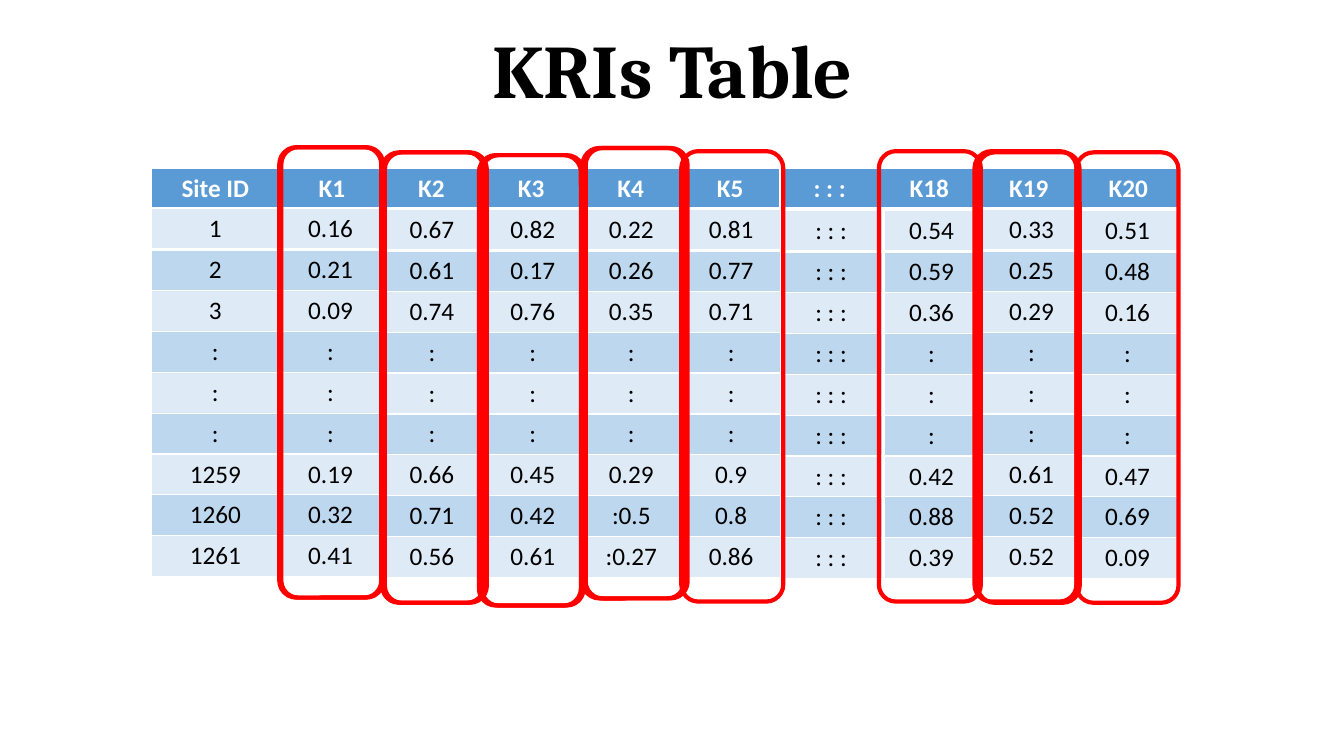
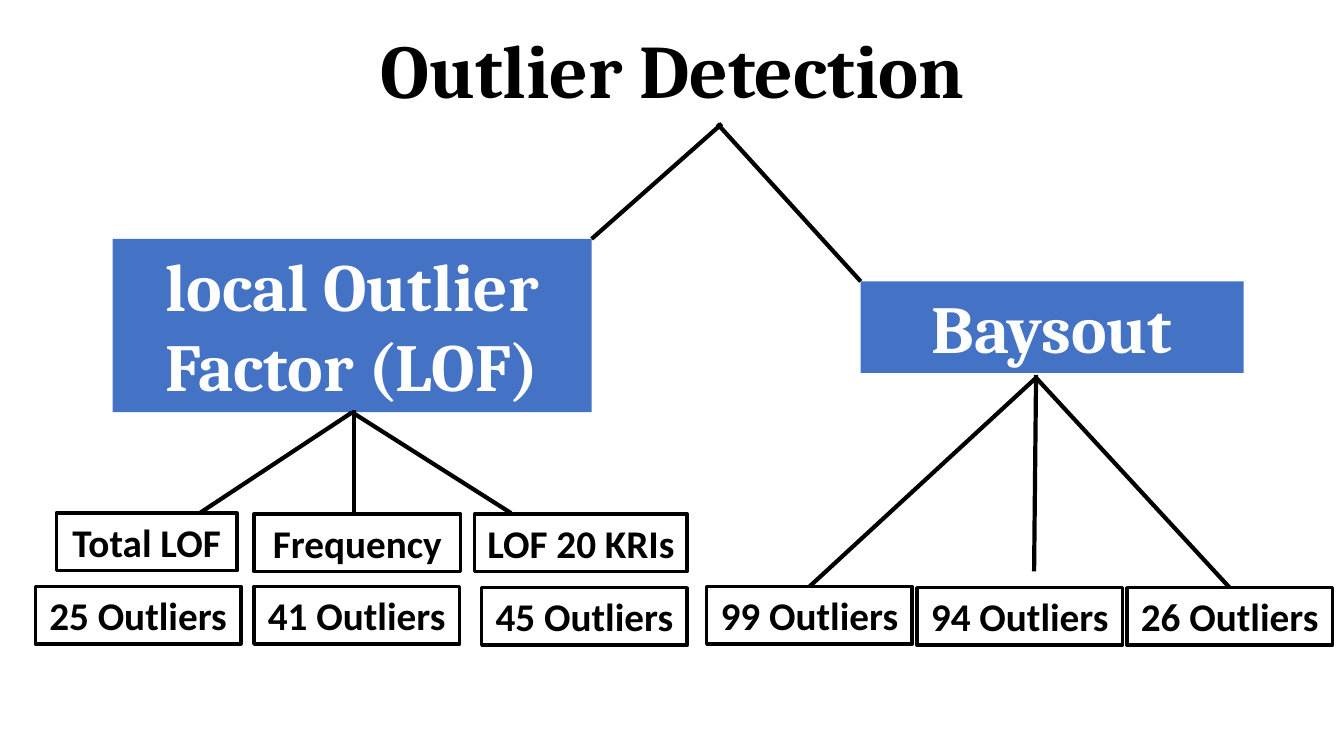
from pptx import Presentation
from pptx.dml.color import RGBColor
from pptx.enum.shapes import MSO_CONNECTOR, MSO_SHAPE
from pptx.enum.text import MSO_ANCHOR, MSO_AUTO_SIZE, PP_ALIGN
from pptx.oxml import parse_xml
from pptx.oxml.ns import nsdecls
from pptx.util import Cm, Pt

BLACK = RGBColor(0x00, 0x00, 0x00)
WHITE = RGBColor(0xFF, 0xFF, 0xFF)
RED = RGBColor(0xFF, 0x00, 0x00)
HEADER_BLUE = RGBColor(0x5B, 0x9B, 0xD5)
PALE_BLUE = RGBColor(0xDE, 0xEB, 0xF7)
MID_BLUE = RGBColor(0xBD, 0xD7, 0xEE)
BOX_BLUE = RGBColor(0x44, 0x72, 0xC4)
HEADING_FONT = "Cambria"
BODY_FONT = "Calibri"

ROW_HEIGHT = 1.03
HEADER_TOP = 4.24
HEADERS = [
    (3.81, 3.23, ["Site ID"]),
    (7.11, 2.51, ["K1", "K2", "K3", "K4", "K5", ": : :", "K18", "K19", "K20"]),
]
GAP = [":"] * 3
COLUMNS = [
    (3.81, 5.26, 3.23, ["1", "2", "3", *GAP, "1259", "1260", "1261"]),
    (7.06, 5.26, 2.54, ["0.16", "0.21", "0.09", *GAP, "0.19", "0.32", "0.41"]),
    (9.6, 5.28, 2.57, ["0.67", "0.61", "0.74", *GAP, "0.66", "0.71", "0.56"]),
    (12.14, 5.28, 2.57, ["0.82", "0.17", "0.76", *GAP, "0.45", "0.42", "0.61"]),
    (14.68, 5.28, 2.46, ["0.22", "0.26", "0.35", *GAP, "0.29", ":0.5", ":0.27"]),
    (17.17, 5.28, 2.51, ["0.81", "0.77", "0.71", *GAP, "0.9", "0.8", "0.86"]),
    (19.66, 5.31, 2.57, [": : :"] * 9),
    (22.28, 5.31, 2.39, ["0.54", "0.59", "0.36", *GAP, "0.42", "0.88", "0.39"]),
    (24.71, 5.28, 2.57, ["0.33", "0.25", "0.29", *GAP, "0.61", "0.52", "0.52"]),
    (27.13, 5.31, 2.57, ["0.51", "0.48", "0.16", *GAP, "0.47", "0.69", "0.09"]),
]
FRAME_SIZE = (2.57, 11.35)
FRAMES = [
    (9.63, 3.84), (12.07, 3.91), (14.68, 3.73), (17.17, 3.81), (22.15, 3.81),
    (24.56, 3.81), (9.7, 3.84), (12.14, 3.91), (14.76, 3.73), (7.09, 3.71),
    (24.64, 3.84), (7.04, 3.71), (27.13, 3.84),
]

METHODS = [
    ("local Outlier Factor (LOF)", 2.84, 6.02, 12.07, 4.37),
    ("Baysout", 21.69, 7.09, 9.65, 2.31),
]
RESULTS = [
    ("Total LOF", 1.42, 12.93, 4.55),
    ("25 Outliers", 0.89, 14.78, 5.18),
    ("Frequency", 6.4, 12.95, 5.21),
    ("41 Outliers", 6.4, 14.78, 5.18),
    ("LOF 20 KRIs", 11.96, 12.95, 5.36),
    ("45 Outliers", 12.14, 14.81, 5.18),
    ("99 Outliers", 17.81, 14.78, 5.18),
    ("94 Outliers", 23.11, 14.81, 5.18),
    ("26 Outliers", 28.4, 14.81, 5.18),
]
RESULT_HEIGHT = 1.45
BRANCHES = [
    ((18.19, 3.12), (14.91, 6.02)),
    ((18.08, 3.12), (21.69, 7.09)),
    ("local Outlier Factor (LOF)", (5.03, 12.93)),
    ("local Outlier Factor (LOF)", (12.88, 12.93)),
    ((8.92, 10.34), (8.92, 12.93)),
    ((26.11, 9.45), (26.06, 14.4)),
    ((26.11, 9.52), "26 Outliers"),
    ((26.11, 9.52), "99 Outliers"),
]


def write(frame, text, size=18, font=BODY_FONT, color=BLACK, bold=False, spacing=None):
    paragraph = frame.paragraphs[0]
    paragraph.alignment = PP_ALIGN.CENTER
    if spacing:
        paragraph.line_spacing = spacing
    run = paragraph.add_run()
    run.text = text
    run.font.size = Pt(size)
    run.font.name = font
    run.font.bold = bold
    run.font.color.rgb = color


def add_titled_slide(presentation, title):
    slide = presentation.slides.add_slide(presentation.slide_layouts[6])
    box = slide.shapes.add_textbox(Cm(2.34), Cm(0.03), Cm(29.21), Cm(3.68))
    box.text_frame.word_wrap = True
    box.text_frame.vertical_anchor = MSO_ANCHOR.MIDDLE
    write(box.text_frame, title, size=54, font=HEADING_FONT, bold=True, spacing=0.9)
    return slide


def add_borders(cell, bottom):
    properties = cell._tc.get_or_add_tcPr()
    for side, width in (("L", 1), ("R", 1), ("T", 1), ("B", bottom)):
        properties.append(parse_xml(
            f'<a:ln{side} {nsdecls("a")} w="{Pt(width)}"><a:solidFill>'
            f'<a:srgbClr val="{WHITE}"/></a:solidFill></a:ln{side}>'))


def add_grid(slide, left, top, column_width, rows, fills, **text_format):
    count = len(rows[0])
    table = slide.shapes.add_table(
        len(rows), count, Cm(left), Cm(top),
        Cm(column_width * count), Cm(ROW_HEIGHT * len(rows))).table
    table.first_row = table.horz_banding = False
    for column in table.columns:
        column.width = Cm(column_width)
    for r, values in enumerate(rows):
        table.rows[r].height = Cm(ROW_HEIGHT)
        for c, value in enumerate(values):
            cell = table.cell(r, c)
            add_borders(cell, bottom=1 if r else 3)
            cell.fill.solid()
            cell.fill.fore_color.rgb = fills[r % len(fills)]
            write(cell.text_frame, value, **text_format)


def add_box(slide, kind, left, top, width, height, fill=None, line=None, line_width=3):
    shape = slide.shapes.add_shape(kind, Cm(left), Cm(top), Cm(width), Cm(height))
    shape.shadow.inherit = False
    if fill is None:
        shape.fill.background()
    else:
        shape.fill.solid()
        shape.fill.fore_color.rgb = fill
    if line is None:
        shape.line.fill.background()
    else:
        shape.line.color.rgb = line
        shape.line.width = Pt(line_width)
    return shape


def add_label(slide, text, place, wrap, box_format, **text_format):
    shape = add_box(slide, MSO_SHAPE.RECTANGLE, *place, **box_format)
    frame = shape.text_frame
    frame.word_wrap = wrap
    frame.auto_size = MSO_AUTO_SIZE.SHAPE_TO_FIT_TEXT
    frame.vertical_anchor = MSO_ANCHOR.TOP
    write(frame, text, bold=True, **text_format)
    return shape


def add_branch(slide, start, end, boxes):
    points = [(0, 0) if place in boxes else place for place in (start, end)]
    connector = slide.shapes.add_connector(
        MSO_CONNECTOR.STRAIGHT, *[Cm(value) for point in points for value in point])
    if start in boxes:
        connector.begin_connect(boxes[start], 2)
    if end in boxes:
        connector.end_connect(boxes[end], 0)
    connector.line.color.rgb = BLACK
    connector.line.width = Pt(3)
    connector._element.spPr.append(parse_xml(f'<a:effectLst {nsdecls("a")}/>'))


def build_table_slide(presentation):
    slide = add_titled_slide(presentation, "KRIs Table")
    for left, width, names in HEADERS:
        add_grid(slide, left, HEADER_TOP, width, [names], [HEADER_BLUE],
                 color=WHITE, bold=True)
    for left, top, width, values in COLUMNS:
        add_grid(slide, left, top, width, [[value] for value in values],
                 [PALE_BLUE, MID_BLUE])
    for left, top in FRAMES:
        add_box(slide, MSO_SHAPE.ROUNDED_RECTANGLE, left, top, *FRAME_SIZE, line=RED)


def build_detection_slide(presentation):
    slide = add_titled_slide(presentation, "Outlier Detection")
    boxes = {}
    for text, *place in METHODS:
        boxes[text] = add_label(slide, text, place, True, {"fill": BOX_BLUE},
                                size=48, font=HEADING_FONT, color=WHITE)
    for text, *place in RESULTS:
        boxes[text] = add_label(slide, text, (*place, RESULT_HEIGHT), False,
                                {"line": BLACK, "line_width": 2.5}, size=28)
    for start, end in BRANCHES:
        add_branch(slide, start, end, boxes)


def main():
    presentation = Presentation()
    presentation.slide_width = Cm(33.87)
    presentation.slide_height = Cm(19.05)
    build_table_slide(presentation)
    build_detection_slide(presentation)
    presentation.save("out.pptx")


if __name__ == "__main__":
    main()
